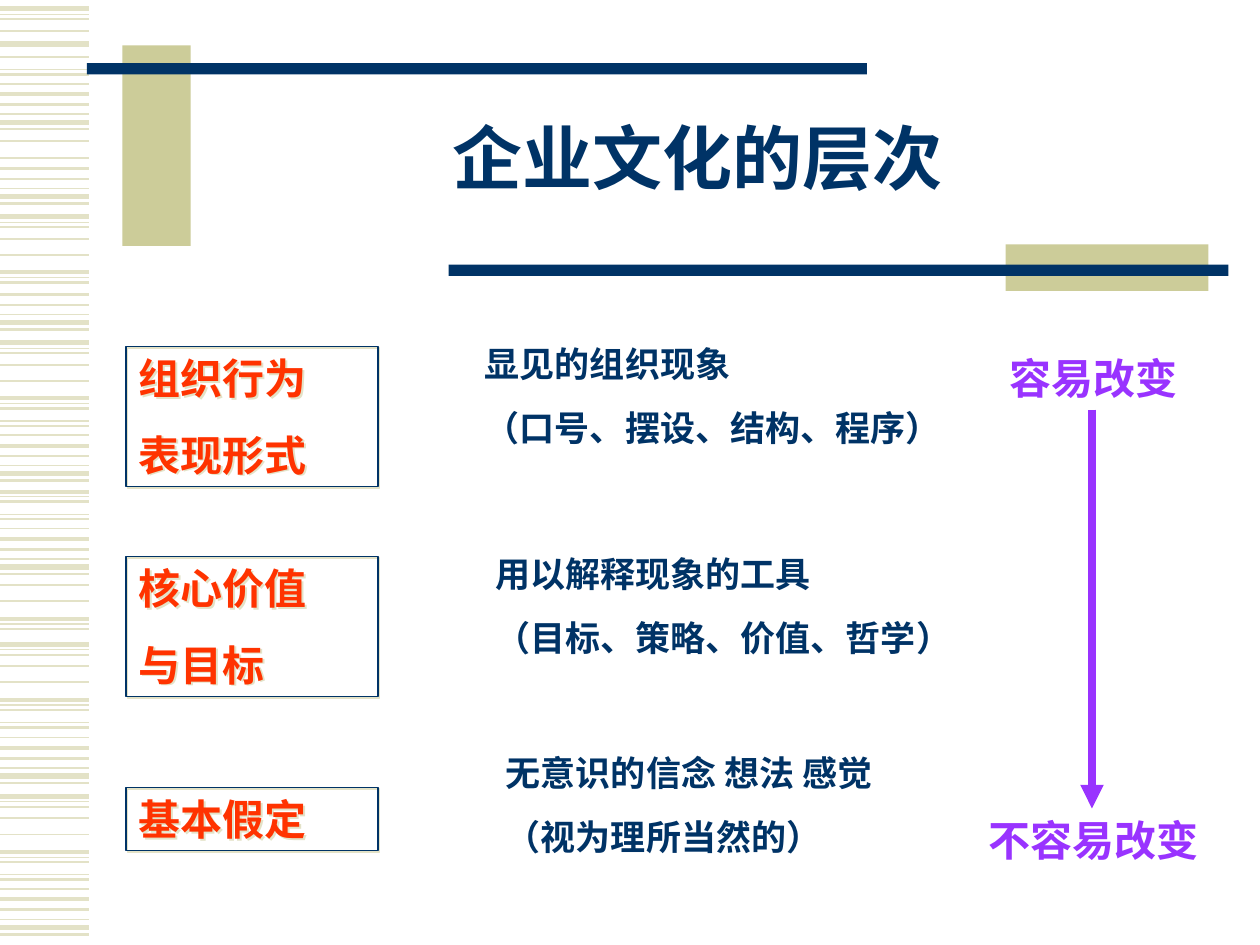
from dataclasses import dataclass

from lxml.etree import SubElement
from pptx import Presentation
from pptx.dml.color import RGBColor as Color
from pptx.enum.shapes import MSO_CONNECTOR as Connector, MSO_SHAPE as Shape
from pptx.enum.text import MSO_ANCHOR as Anchor, PP_ALIGN as Align
from pptx.oxml.ns import qn
from pptx.util import Pt


@dataclass(frozen=True)
class Theme:
    font: str = "Times New Roman"
    navy: str = "003366"
    khaki: str = "CCCC99"
    stripe: str = "E3E2C7"
    red: str = "FF3300"
    violet: str = "9933FF"
    title_size: float = 40
    label_size: float = 24
    body_size: float = 20


THEME = Theme()

SHORT_BAND = [(-22, 1), (-16, 2.25), (-10, 1.5), (-4.6, 0.75), (0, 3), (4, 1.5)]
LONG_BAND = [(0, 3), (3.2, 0.75), (6, 1), (12.6, 1), (21.8, 1), (31.8, 2.25),
             (34.8, 0.75), (37.6, 1.5), (44.8, 0.75), (47.6, 1.5)]
BANDS = [
    (SHORT_BAND, [529.9, 443.5, 324, 270.7, 112.3, 69.8]),
    (SHORT_BAND[1:], [184.3]),
    (SHORT_BAND[4:5], [25.2]),
    (LONG_BAND, [455, 368.1, 195.8]),
    (LONG_BAND[:8], [123.8]),
    (LONG_BAND[:4], [5]),
    (LONG_BAND[3:8], [321.8]),
    (LONG_BAND[4:5], [58.8]),
    (LONG_BAND[5:], [249.1]),
    (LONG_BAND[7:], [-5]),
]

BARS = [
    (70, 26, 39, 114.5, THEME.khaki),
    (49.7, 36, 445.7, 6.5, THEME.navy),
    (574.6, 139.7, 116, 26.6, THEME.khaki),
    (256.3, 151.2, 445.7, 6.5, THEME.navy),
]

LEVELS = [
    (198, 80, ["组织行为", "表现形式"]),
    (318, 80, ["核心价值", "与目标"]),
    (450, 36, ["基本假定"]),
]

NOTES = [
    (270, 192, ["显见的组织现象", "（口号、摆设、结构、程序）"]),
    (276, 312, ["用以解释现象的工具", "（目标、策略、价值、哲学）"]),
    (282, 426, ["无意识的信念 想法 感觉", "（视为理所当然的）"]),
]


def write(shape, lines, size, color, gap=0, align=Align.LEFT, anchor=Anchor.TOP, spacing=1):
    frame = shape.text_frame
    frame.word_wrap = True
    frame.vertical_anchor = anchor
    for index, line in enumerate(lines):
        para = frame.add_paragraph() if index else frame.paragraphs[0]
        para.alignment = align
        para.line_spacing = spacing
        if index:
            para.space_before = Pt(gap)
        span = para.add_run()
        span.text = line
        span.font.name = THEME.font
        span.font.size = Pt(size)
        span.font.bold = True
        span.font.color.rgb = Color.from_string(color)


class Painter:
    def __init__(self, slide, theme):
        self.slide = slide
        self.theme = theme

    def line(self, left, top, right, bottom, color, weight, arrow=False):
        line = self.slide.shapes.add_connector(
            Connector.STRAIGHT, Pt(left), Pt(top), Pt(right), Pt(bottom))
        line.line.color.rgb = Color.from_string(color)
        line.line.width = Pt(weight)
        if arrow:
            SubElement(line.line._get_or_add_ln(), qn("a:tailEnd"), type="triangle")
        SubElement(line._element.spPr, qn("a:effectLst"))

    def bar(self, left, top, width, height, color):
        bar = self.slide.shapes.add_shape(
            Shape.RECTANGLE, Pt(left), Pt(top), Pt(width), Pt(height))
        bar.shadow.inherit = False
        bar.fill.solid()
        bar.fill.fore_color.rgb = Color.from_string(color)
        bar.line.fill.background()

    def level(self, left, top, width, height, lines):
        box = self.slide.shapes.add_shape(
            Shape.RECTANGLE, Pt(left), Pt(top), Pt(width), Pt(height))
        box.fill.background()
        box.line.color.rgb = Color.from_string(self.theme.navy)
        box.line.width = Pt(0.75)
        box.shadow.inherit = False
        effects = box._element.spPr.find(qn("a:effectLst"))
        shadow = SubElement(effects, qn("a:outerShdw"), dist=str(Pt(1.4)),
                            dir="2700000", algn="ctr", rotWithShape="0")
        SubElement(shadow, qn("a:srgbClr"), val=self.theme.stripe)
        write(box, lines, self.theme.label_size, self.theme.red, gap=15)

    def text(self, left, top, width, height, lines, size, color, **style):
        box = self.slide.shapes.add_textbox(Pt(left), Pt(top), Pt(width), Pt(height))
        write(box, lines, size, color, **style)


def main():
    deck = Presentation()
    deck.slide_width, deck.slide_height = Pt(720), Pt(540)
    painter = Painter(deck.slides.add_slide(deck.slide_layouts[6]), THEME)

    for band, starts in BANDS:
        for start in starts:
            for offset, weight in band:
                painter.line(0, start + offset, 51, start + offset, THEME.stripe, weight)
    for bar in BARS:
        painter.bar(*bar)

    painter.text(108, 48, 581, 90, ["企业文化的层次"], THEME.title_size, THEME.navy,
                 align=Align.CENTER, anchor=Anchor.MIDDLE, spacing=0.85)
    for top, height, lines in LEVELS:
        painter.level(72, top, 144, height, lines)
    for left, top, lines in NOTES:
        painter.text(left, top, 288, 68, lines, THEME.body_size, THEME.navy, gap=12.5)

    painter.text(570, 198, 126, 36, ["容易改变"], THEME.label_size, THEME.violet)
    painter.text(558, 462, 144, 36, ["不容易改变"], THEME.label_size, THEME.violet)
    painter.line(624, 234, 624, 462, THEME.violet, 4.5, arrow=True)
    deck.save("out.pptx")


if __name__ == "__main__":
    main()
